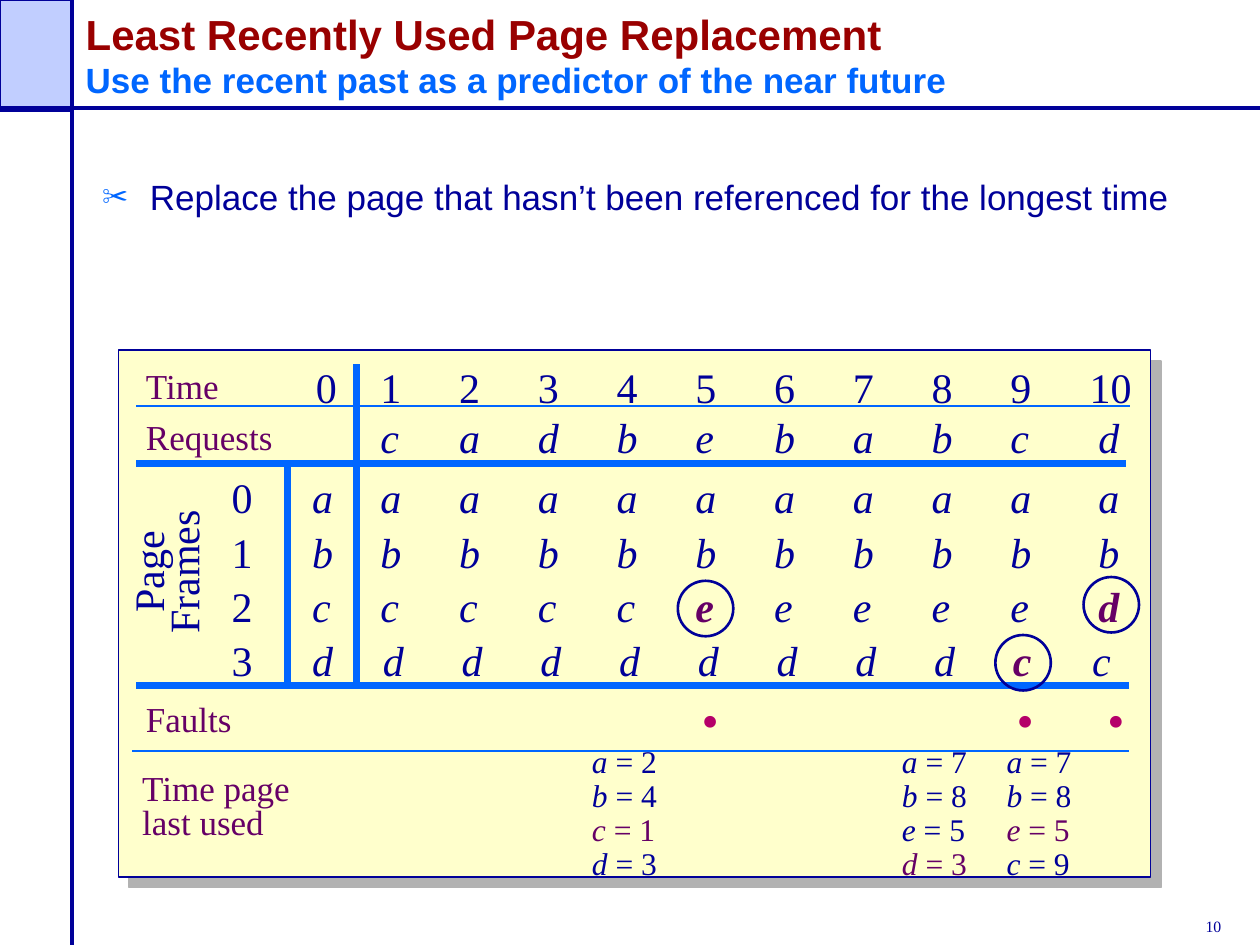
from lxml import etree
from pptx import Presentation
from pptx.dml.color import RGBColor
from pptx.enum.shapes import MSO_CONNECTOR, MSO_SHAPE
from pptx.enum.text import MSO_ANCHOR, MSO_AUTO_SIZE, PP_ALIGN
from pptx.oxml.ns import qn
from pptx.util import Inches, Pt

NAVY, BLUE, PLUM = "000099", "0066FF", "660066"
SERIF = "Times New Roman"
COLUMN_STEP = 0.625
FRAME_TOPS = [3.69, 4.13, 4.56, 4.99]


def color(hex_value):
    return RGBColor.from_string(hex_value)


def style(run, size, hex_value, font=SERIF, bold=False, italic=False):
    run.font.size = Pt(size)
    run.font.name = font
    run.font.color.rgb = color(hex_value)
    run.font.bold = bold
    run.font.italic = italic


def add_xml(parent, tag, **attributes):
    return etree.SubElement(parent, qn(tag), attributes)


def place(shape, left, top, width, height):
    shape.left, shape.top = Inches(left), Inches(top)
    shape.width, shape.height = Inches(width), Inches(height)


def add_frame(slide, left, top, width, height):
    box = slide.shapes.add_textbox(
        Inches(left), Inches(top), Inches(width), Inches(height))
    box.text_frame.word_wrap = False
    box.text_frame.auto_size = MSO_AUTO_SIZE.SHAPE_TO_FIT_TEXT
    return box


def add_label(slide, text, bounds, size=24, hex_value=NAVY, italic=False,
              spacing=None, align=PP_ALIGN.LEFT):
    box = add_frame(slide, *bounds)
    box.text_frame.text = text
    for paragraph in box.text_frame.paragraphs:
        paragraph.alignment = align
        if spacing:
            paragraph.line_spacing = spacing
        style(paragraph.runs[0], size, hex_value, italic=italic)
    return box


def add_row(slide, cells, bounds, faults=(), last_stop=5.7, size=24,
            hex_value=NAVY, italic=True):
    """One line of the trace, a tab stop per time step; faults are bold."""
    paragraph = add_frame(slide, *bounds).text_frame.paragraphs[0]
    tabs = add_xml(paragraph._p.get_or_add_pPr(), "a:tabLst")
    stops = [COLUMN_STEP * step for step in range(1, 9)] + [last_stop]
    for stop in stops:
        add_xml(tabs, "a:tab", pos=str(Inches(stop)), algn="l")
    for step, cell in enumerate(cells):
        run = paragraph.add_run()
        run.text = cell if step == len(cells) - 1 else cell + "\t"
        fault = step in faults
        style(run, size, PLUM if fault else hex_value, bold=fault, italic=italic)


def add_last_used(slide, left, times, oldest):
    """Pages with their last use; the page to evict is in plum."""
    text_frame = add_frame(slide, left, 5.87, 0.76, 1.18).text_frame
    for index, (page, time) in enumerate(times):
        paragraph = (text_frame.add_paragraph() if index
                     else text_frame.paragraphs[0])
        paragraph.line_spacing = 0.9
        hex_value = PLUM if page == oldest else NAVY
        for text, italic in ((page, True), (f" = {time}", False)):
            run = paragraph.add_run()
            run.text = text
            style(run, 18, hex_value, italic=italic)


def add_rule(slide, x1, y1, x2, y2, hex_value=BLUE, width=4):
    rule = slide.shapes.add_connector(
        MSO_CONNECTOR.STRAIGHT, Inches(x1), Inches(y1), Inches(x2), Inches(y2))
    rule.line.color.rgb = color(hex_value)
    rule.line.width = Pt(width)
    add_xml(rule._element.spPr, "a:effectLst")


def add_outline(slide, kind, bounds, fill=None, width=1):
    shape = slide.shapes.add_shape(kind, *(Inches(value) for value in bounds))
    shape.shadow.inherit = False
    if fill:
        shape.fill.solid()
        shape.fill.fore_color.rgb = color(fill)
    else:
        shape.fill.background()
    shape.line.color.rgb = color(NAVY)
    shape.line.width = Pt(width)
    return shape


def add_board(slide):
    board = add_outline(slide, MSO_SHAPE.RECTANGLE, (0.94, 2.78, 8.19, 4.18), "FFFFCC")
    effects = board._element.spPr.find(qn("a:effectLst"))
    shadow = add_xml(effects, "a:outerShdw", dist=str(Pt(8.5)), dir="2700000",
                     algn="ctr", rotWithShape="0")
    add_xml(shadow, "a:srgbClr", val="B2B2B2")


def fill_title(title):
    place(title, 0.58, 0, 9.42, 0.85)
    title.text_frame.text = ("Least Recently Used Page Replacement\v"
                             "Use the recent past as a predictor of the near future")
    title.text_frame.vertical_anchor = MSO_ANCHOR.BOTTOM
    title.text_frame.auto_size = MSO_AUTO_SIZE.NONE
    paragraph = title.text_frame.paragraphs[0]
    paragraph.alignment = PP_ALIGN.LEFT
    heading, subheading = paragraph.runs
    style(heading, 24, "990000", "Arial", bold=True)
    style(subheading, 20, BLUE, "Arial", bold=True)


def fill_body(body):
    place(body, 0.71, 1.34, 8.99, 1.14)
    body.text_frame.text = ("Replace the page that hasn’t been referenced "
                            "for the longest time")
    body.text_frame.auto_size = MSO_AUTO_SIZE.NONE
    paragraph = body.text_frame.paragraphs[0]
    paragraph.space_before = Pt(0)
    properties = paragraph._p.get_or_add_pPr()
    properties.set("marL", str(Inches(0.38)))
    properties.set("indent", str(Inches(-0.38)))
    bullet_color = add_xml(properties, "a:buClr")
    add_xml(bullet_color, "a:srgbClr", val=BLUE)
    add_xml(properties, "a:buSzPct", val="75000")
    add_xml(properties, "a:buChar", char="✂")
    style(paragraph.runs[0], 20, NAVY, "Arial")


def main():
    presentation = Presentation()
    presentation.slide_width, presentation.slide_height = Inches(10), Inches(7.5)
    slide = presentation.slides.add_slide(presentation.slide_layouts[1])

    # Page decoration, heading and statement
    add_outline(slide, MSO_SHAPE.RECTANGLE, (0, 0, 0.57, 0.88), "C1CEFF")
    add_rule(slide, 0, 0.86, 10, 0.86, NAVY, 2.25)
    add_rule(slide, 0.57, 0, 0.57, 7.5, NAVY, 2.25)
    add_label(slide, "10", (9.47, 7.23, 0.72, 0.25), size=9)
    fill_title(slide.shapes.title)
    fill_body(slide.placeholders[1])

    # Board with its thick and thin rules
    add_board(slide)
    for y, left, right, width in [(3.22, 1.08, 8.97, 1), (3.68, 1.08, 8.94, 4),
                                  (5.44, 1.08, 8.96, 4), (5.96, 1.05, 8.96, 1)]:
        add_rule(slide, left, y, right, y, width=width)
    for x, top in [(2.28, 3.71), (2.83, 2.89)]:
        add_rule(slide, x, top, x, 5.42)

    # Row labels
    for text, bounds in [("Time", (1.06, 2.84, 0.82, 0.43)),
                         ("Requests", (1.06, 3.25, 1.25, 0.43)),
                         ("Faults", (1.06, 5.49, 0.92, 0.43)),
                         ("Time page\nlast used", (1.03, 6.1, 1.42, 0.63))]:
        add_label(slide, text, bounds, 20, PLUM,
                  spacing=0.8 if "\n" in text else None)
    page_frames = add_label(slide, "Page\nFrames", (0.77, 4.21, 1.18, 0.66),
                            spacing=0.7, align=PP_ALIGN.CENTER)
    page_frames.rotation = 270

    # Time steps and requests
    add_label(slide, "0", (2.41, 2.82, 0.36, 0.5))
    add_row(slide, [str(step) for step in range(1, 11)], (2.92, 2.82, 6.16, 0.5),
            last_stop=5.63, italic=False)
    add_row(slide, "cadbebabcd", (2.92, 3.22, 6.1, 0.5))

    # Frame numbers, first pages and contents over time
    for number, (page, top) in enumerate(zip("abcd", FRAME_TOPS)):
        add_label(slide, str(number), (1.74, top, 0.36, 0.5))
        add_label(slide, page, (2.38, top, 0.36, 0.5), italic=True)
    for pages, top in zip(["a" * 10, "b" * 10], FRAME_TOPS):
        add_row(slide, pages, (2.92, top, 6.1, 0.5))
    add_row(slide, "cccceeeeed", (2.92, FRAME_TOPS[2], 6.1, 0.5), faults=(4, 9))
    add_row(slide, "ddddddddcc", (2.94, FRAME_TOPS[3], 6.1, 0.5), faults=(8,),
            last_stop=5.63)

    # Faults and last uses before each of them
    fault_marks = ["•" if step in (5, 9, 10) else "" for step in range(1, 11)]
    add_row(slide, fault_marks, (2.97, 5.42, 6.1, 0.56), last_stop=5.72,
            size=28, hex_value="B50069", italic=False)
    add_last_used(slide, 4.6, zip("abcd", (2, 4, 1, 3)), "c")
    add_last_used(slide, 7.06, zip("abed", (7, 8, 5, 3)), "d")
    add_last_used(slide, 7.89, zip("abec", (7, 8, 5, 9)), "e")

    # Rings around the replaced pages
    for left, top in [(8.6, 4.58), (7.9, 5.04), (5.38, 4.61)]:
        add_outline(slide, MSO_SHAPE.OVAL, (left, top, 0.44, 0.44), width=1.5)

    presentation.save("out.pptx")


if __name__ == "__main__":
    main()
